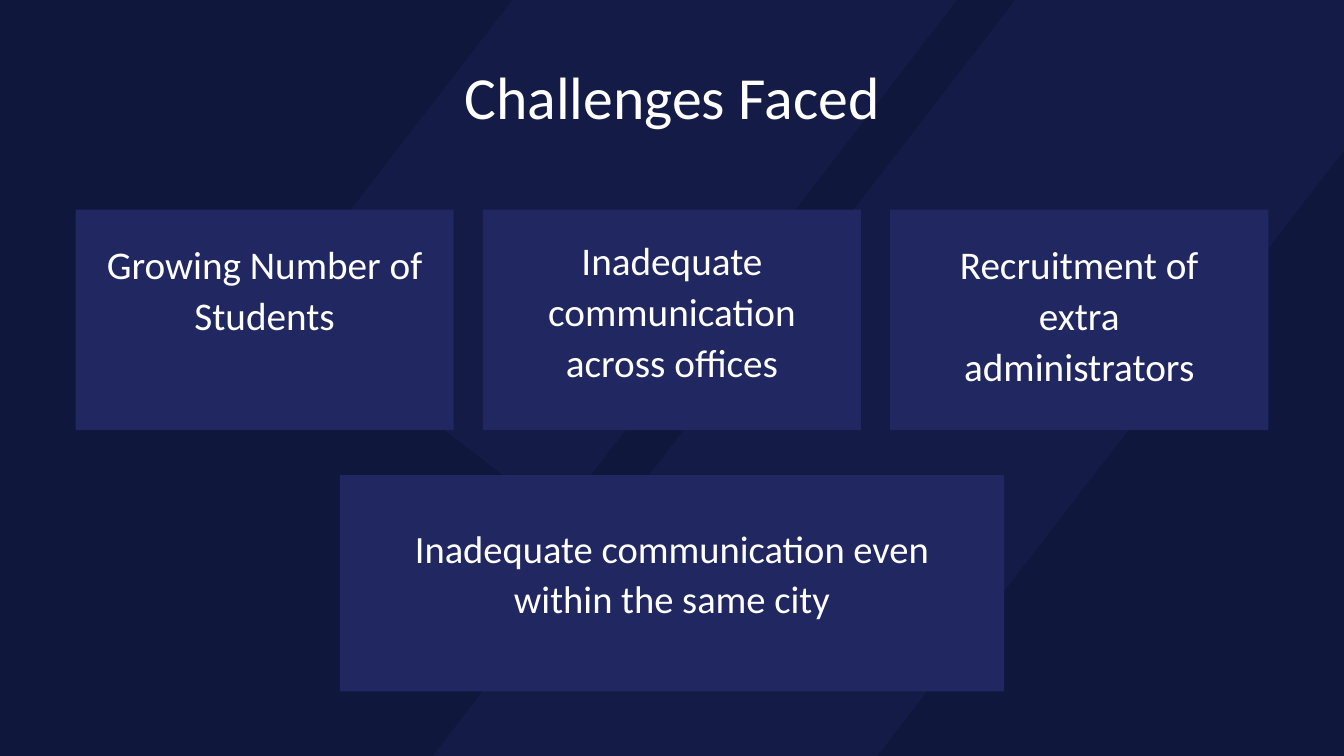
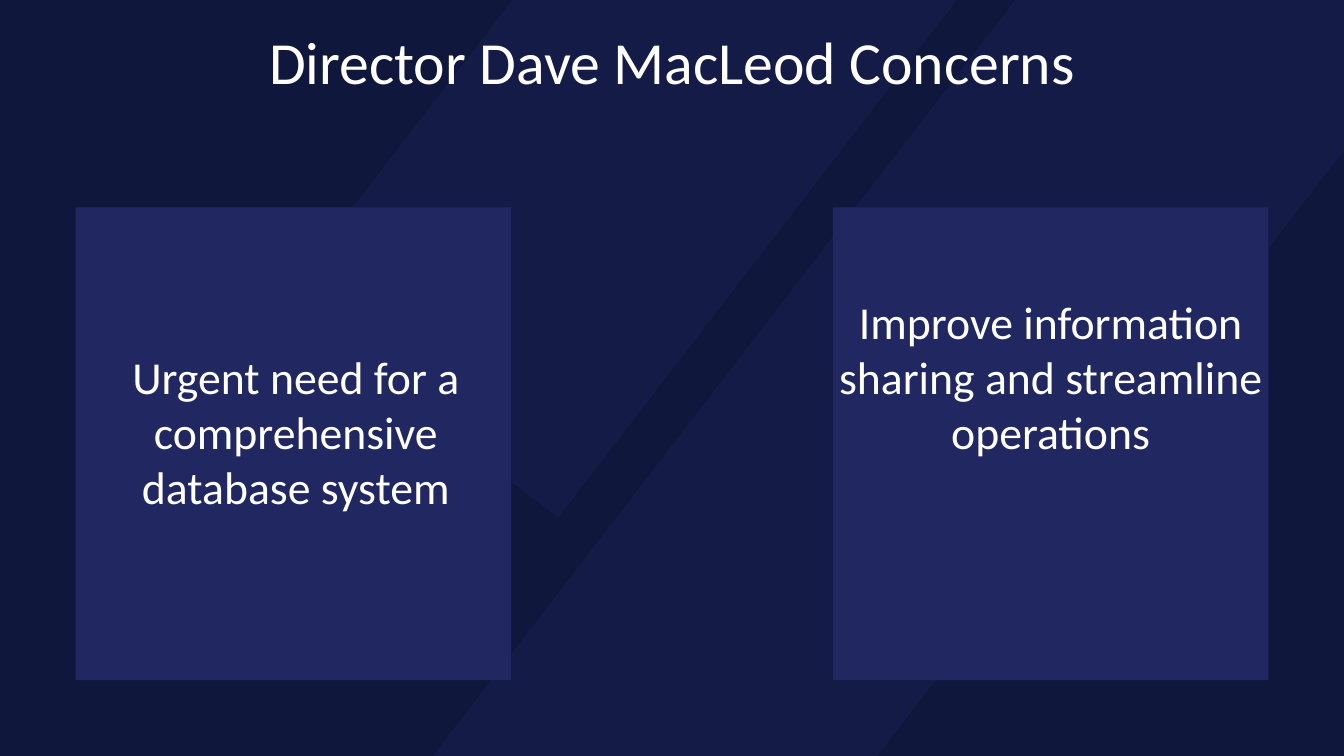
from lxml import etree
from pptx import Presentation
from pptx.dml.color import RGBColor
from pptx.enum.shapes import MSO_SHAPE
from pptx.enum.text import MSO_ANCHOR, MSO_AUTO_SIZE, PP_ALIGN
from pptx.oxml.ns import qn
from pptx.util import Cm, Pt

SLIDE_WIDTH, SLIDE_HEIGHT = 50.8, 28.58
MARGIN = 2.86
FONT = "Calibri"
NAVY, CARD, BAND, WHITE = "0F173C", "212761", "4642A1", "FFFFFF"
BAND_ANGLE, BAND_OPACITY = 37.6, 10
BANDS = [(27.81, -7.26, 13.31, 46.48), (16.81, -6.93, 13.31, 25.04)]


def set_fill(fill, color, opacity=100):
    fill.solid()
    fill.fore_color.rgb = RGBColor.from_string(color)
    if opacity < 100:
        color_element = fill._xPr.find(f".//{qn('a:srgbClr')}")
        etree.SubElement(color_element, qn("a:alpha"), val=str(opacity * 1000))


def add_rectangle(slide, box, color, opacity=100):
    shape = slide.shapes.add_shape(MSO_SHAPE.RECTANGLE, *map(Cm, box))
    shape.shadow.inherit = False
    set_fill(shape.fill, color, opacity)
    shape.line.fill.background()
    return shape


def write_text(shape, text, size, spacing):
    """Fill a shape with one centred white paragraph without insets."""
    frame = shape.text_frame
    frame.word_wrap = True
    frame.auto_size = MSO_AUTO_SIZE.NONE
    frame.vertical_anchor = MSO_ANCHOR.TOP
    frame.margin_left = frame.margin_right = 0
    frame.margin_top = frame.margin_bottom = 0
    paragraph = frame.paragraphs[0]
    paragraph.alignment = PP_ALIGN.CENTER
    paragraph.line_spacing = Pt(spacing)
    paragraph.space_before = Pt(0)
    run = paragraph.add_run()
    run.text = text
    run.font.name = FONT
    run.font.size = Pt(size)
    run.font.color.rgb = RGBColor.from_string(WHITE)


def add_titled_slide(presentation, text, top, width, height):
    """Add a slide with the slanted bands behind a centred title."""
    slide = presentation.slides.add_slide(presentation.slide_layouts[5])
    title = slide.shapes.title
    title.left, title.top = Cm((SLIDE_WIDTH - width) / 2), Cm(top)
    title.width, title.height = Cm(width), Cm(height)
    write_text(title, text, 64, 76.8)
    for box in BANDS:
        band = add_rectangle(slide, box, BAND, BAND_OPACITY)
        band.rotation = BAND_ANGLE
        title._element.addprevious(band._element)
    return slide


def add_card(slide, box, text, text_area, size, spacing, shift=0):
    """Add a card; text_area is (offset from top, width, height), centred."""
    left, top, width, _ = box
    text_top, text_width, text_height = text_area
    add_rectangle(slide, box, CARD)
    text_left = left + (width - text_width) / 2 + shift
    text_box = slide.shapes.add_textbox(
        Cm(text_left), Cm(top + text_top), Cm(text_width), Cm(text_height))
    write_text(text_box, text, size, spacing)


def spread_lefts(count, width):
    """Left edges of equal cards spread evenly between the margins."""
    step = (SLIDE_WIDTH - 2 * MARGIN - width) / (count - 1)
    return [MARGIN + index * step for index in range(count)]


def build_challenges(presentation):
    slide = add_titled_slide(presentation, "Challenges Faced", 2.26, 23.47, 3.3)
    challenges = [
        ("Growing Number of Students", (1.01, 12.32, 6.1)),
        ("Inadequate communication across offices", (0.86, 12.32, 6.1)),
        ("Recruitment of extra administrators", (1.01, 11.3, 6.1)),
    ]
    width = 14.29
    for left, (text, area) in zip(spread_lefts(len(challenges), width), challenges):
        add_card(slide, (left, 7.93, width, 8.33), text, area, 42, 54.6)
    wide = 25.11
    add_card(slide, ((SLIDE_WIDTH - wide) / 2, 17.96, wide, 8.18),
             "Inadequate communication even within the same city",
             (1.75, 22.22, 4.11), 41.3, 53.6)


def build_concerns(presentation):
    slide = add_titled_slide(
        presentation, "Director Dave MacLeod Concerns", 0.94, 35.38, 6)
    concerns = [
        ("Urgent need for a comprehensive database system", (5.36, 16.28, 6.68), 0.09),
        ("Improve information sharing and streamline operations", (3.28, 16, 10.82), 0),
    ]
    width = 16.46
    for left, (text, area, shift) in zip(spread_lefts(len(concerns), width), concerns):
        add_card(slide, (left, 7.84, width, 17.87), text, area, 49, 58.9, shift)


def main():
    presentation = Presentation()
    presentation.slide_width = Cm(SLIDE_WIDTH)
    presentation.slide_height = Cm(SLIDE_HEIGHT)
    set_fill(presentation.slide_master.background.fill, NAVY)
    build_challenges(presentation)
    build_concerns(presentation)
    presentation.save("out.pptx")


if __name__ == "__main__":
    main()
